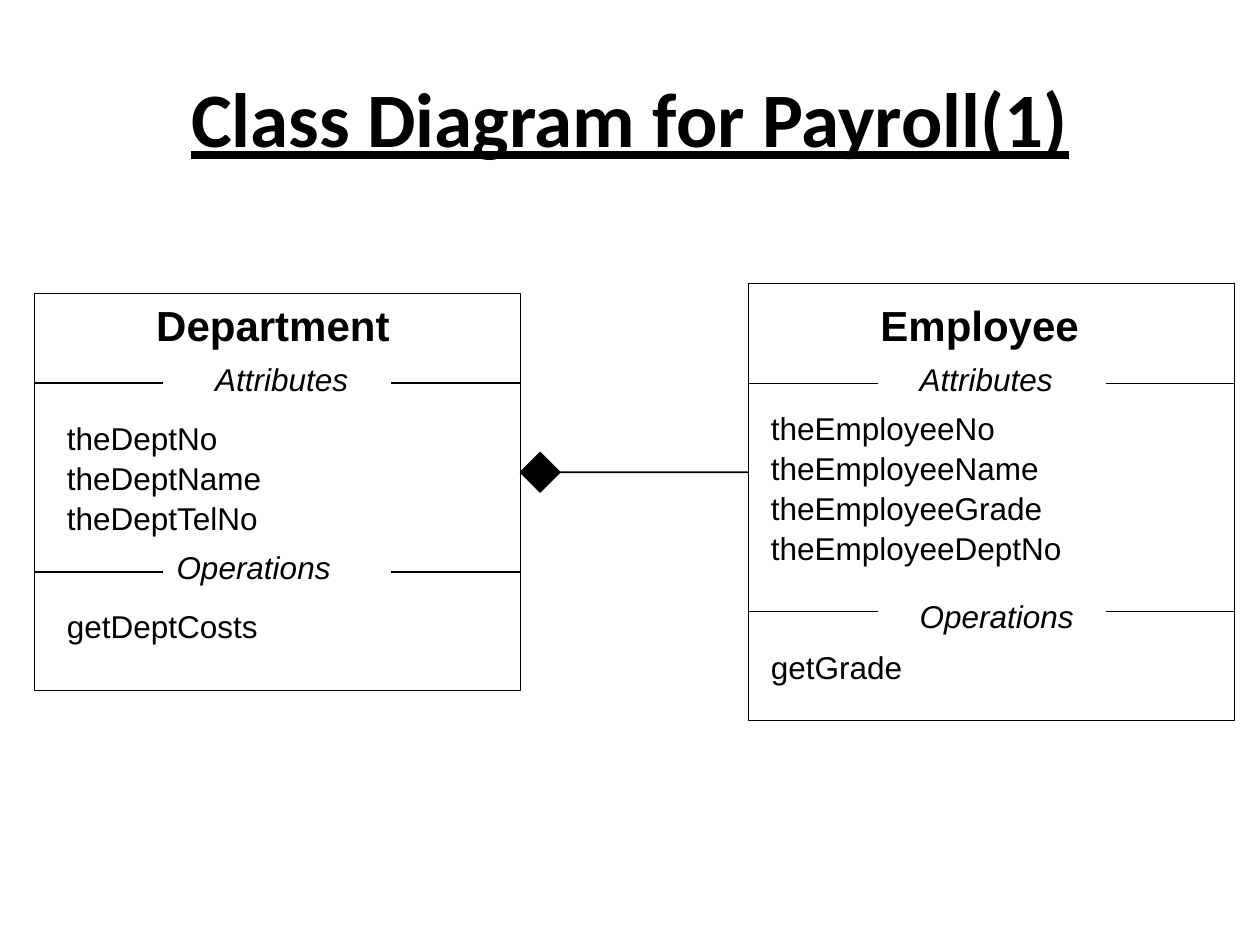
from lxml import etree
from pptx import Presentation, util as u
from pptx.dml.color import RGBColor
from pptx.enum import shapes, text
from pptx.oxml.ns import qn

INK = "000000"
BOX_WIDTH = 9.8
STUB = 2.6
LINE_STEP = 0.8

DEPARTMENT = {
    "box": (0.69, 5.92, BOX_WIDTH, 8.0),
    "name": ("Department", 2.21, 0),
    "headings": [("Attributes", 3.4, 1.22), ("Operations", 2.62, 5.0)],
    "dividers": (1.8, 5.61),
    "members": [(("theDeptNo", "theDeptName", "theDeptTelNo"), 2.41),
                (("getDeptCosts",), 6.2)],
    "indent": 0.41,
}
EMPLOYEE = {
    "box": (15.09, 5.72, BOX_WIDTH, 8.81),
    "name": ("Employee", 2.41, 0.2),
    "headings": [("Attributes", 3.2, 1.42), ("Operations", 3.2, 6.2)],
    "dividers": (2.01, 6.6),
    "members": [(("theEmployeeNo", "theEmployeeName", "theEmployeeGrade",
                  "theEmployeeDeptNo"), 2.41),
                (("getGrade",), 7.21)],
    "indent": 0.2,
}


def color(value):
    """Turn a hex string into a colour."""
    return RGBColor.from_string(value)


def style_text(frame, words, size, **extra):
    """Write one paragraph of text and format it."""
    para = frame.paragraphs[0]
    span = para.add_run()
    span.text = words
    values = {"name": "Arial", "size": u.Pt(size), **extra}
    for key, value in values.items():
        setattr(span.font, key, value)
    span.font.color.rgb = color(INK)
    return para


def add_label(page, words, left, top, width, height, size=18, **extra):
    """Add a left-aligned text box."""
    box = page.shapes.add_textbox(*map(u.Cm, (left, top, width, height)))
    box.text_frame.word_wrap = True
    style_text(box.text_frame, words, size, **extra)


def add_outline(page, kind, area, fill=None):
    """Add a thinly outlined shape, hollow unless a fill is given."""
    shape = page.shapes.add_shape(kind, *map(u.Cm, area))
    shape.shadow.inherit = False
    if fill:
        shape.fill.solid()
        shape.fill.fore_color.rgb = color(fill)
    else:
        shape.fill.background()
    shape.line.color.rgb = color(INK)
    shape.line.width = u.Pt(0.75)
    return shape


def add_line(page, start, end, width=0.75):
    """Add a straight line without shadow."""
    line = page.shapes.add_connector(
        shapes.MSO_CONNECTOR.STRAIGHT, *map(u.Cm, (*start, *end)))
    line.line.color.rgb = color(INK)
    line.line.width = u.Pt(width)
    etree.SubElement(line._element.spPr, qn("a:effectLst"))
    return line


def add_title(page, words):
    """Place and format the title placeholder."""
    title = page.shapes.title
    area = {"left": 1.27, "top": 0.76, "width": 22.86, "height": 3.18}
    for key, value in area.items():
        setattr(title, key, u.Cm(value))
    title.text_frame.vertical_anchor = text.MSO_ANCHOR.MIDDLE
    para = style_text(title.text_frame, words, 44, name="Calibri",
                      bold=True, underline=True)
    para.alignment = text.PP_ALIGN.CENTER


def add_class(page, spec_values):
    """Draw a class box with its name, dividers, headings and members."""
    left, top, width, _ = spec_values["box"]
    right = left + width
    add_outline(page, shapes.MSO_SHAPE.RECTANGLE, spec_values["box"])
    for offset in spec_values["dividers"]:
        y = top + offset
        add_line(page, (left, y), (left + STUB, y))
        add_line(page, (right - STUB, y), (right, y))
    words, x, y = spec_values["name"]
    add_label(page, words, left + x, top + y, 6.2, 1.27, 24, bold=True)
    for words, x, y in spec_values["headings"]:
        add_label(page, words, left + x, top + y, 4.4, 1.02, italic=True)
    for names, y in spec_values["members"]:
        for row, words in enumerate(names):
            add_label(page, words, left + spec_values["indent"],
                      top + y + row * LINE_STEP, 7.2, 1.02)


def add_composition(page, whole, part, y):
    """Join two class boxes with a line that starts in a solid diamond."""
    start = whole[0] + whole[2]
    size = 0.8
    diamond = add_outline(page, shapes.MSO_SHAPE.DIAMOND,
                          (start, y - size / 2, size, size), INK)
    line = add_line(page, (start, y), (part[0], y), 1)
    line.begin_connect(diamond, 1)


def main():
    """Build the deck and save it."""
    deck = Presentation()
    deck.slide_width, deck.slide_height = u.Cm(25.4), u.Cm(19.05)
    page = deck.slides.add_slide(deck.slide_layouts[5])
    add_title(page, "Class Diagram for Payroll(1)")
    for entry in (EMPLOYEE, DEPARTMENT):
        add_class(page, entry)
    add_composition(page, DEPARTMENT["box"], EMPLOYEE["box"], 9.52)
    deck.save("out.pptx")


if __name__ == "__main__":
    main()
